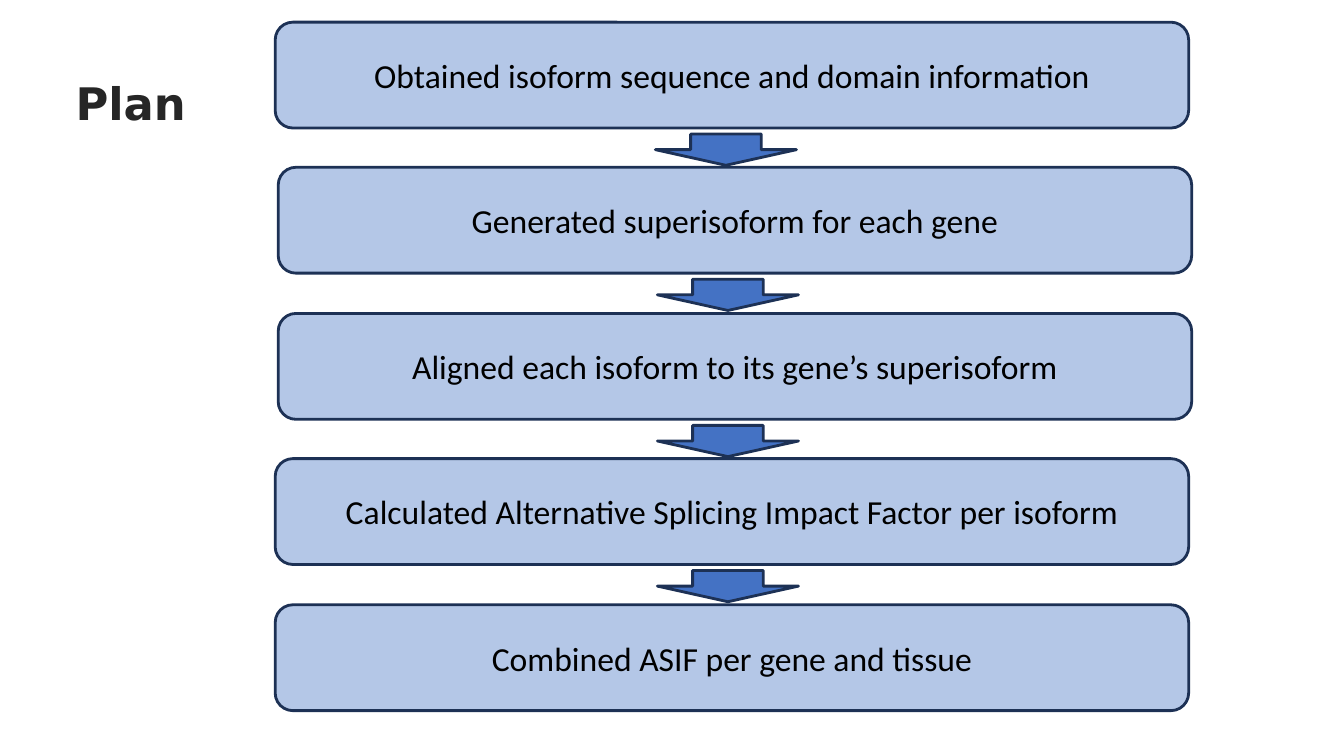
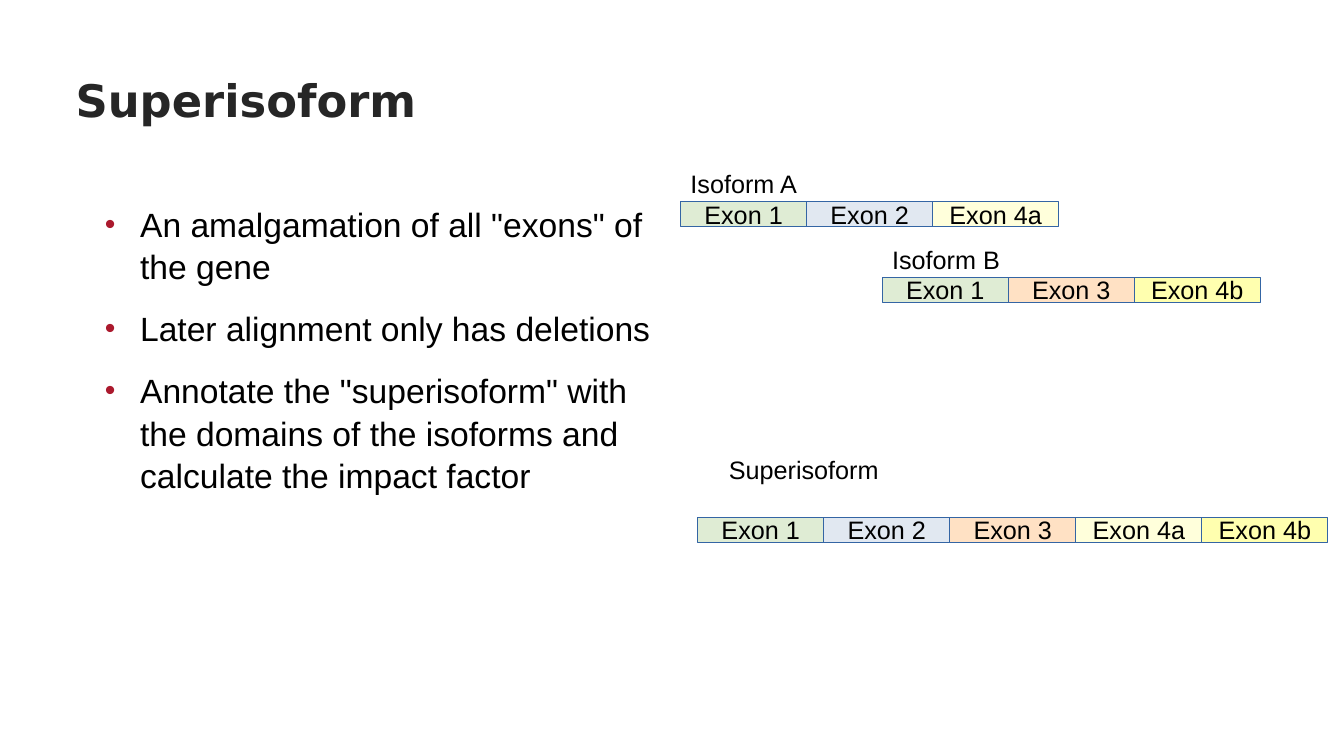
from lxml.etree import SubElement
from pptx import Presentation
from pptx.dml.color import RGBColor
from pptx.enum.shapes import MSO_SHAPE as SHAPE
from pptx.enum.text import MSO_ANCHOR as ANCHOR, PP_ALIGN as ALIGN
from pptx.oxml.ns import qn
from pptx.util import Pt

PX = 9144  # 100 px to the inch

COLORS = {
    "title": "262626", "text": "000000", "bullet": "AB192D",
    "step": "B4C7E7", "arrow": "4472C4", "edge": "1D3155",
    "border": "3465A4",
    "Exon 1": "AFD095", "Exon 2": "B4C7DC", "Exon 3": "FFB66C",
    "Exon 4a": "FFFFA6", "Exon 4b": "FFFF38",
}

# Left edge of each step and its text
STEPS = [
    (273, "Obtained isoform sequence and domain information"),
    (276, "Generated superisoform for each gene"),
    (276, "Aligned each isoform to its gene’s superisoform"),
    (273, "Calculated Alternative Splicing Impact Factor per isoform"),
    (273, "Combined ASIF per gene and tissue"),
]
ARROWS = [650, 652, 652, 652]

POINTS = [
    'An amalgamation of all "exons" of the gene',
    "Later alignment only has deletions",
    'Annotate the "superisoform" with the domains of the isoforms '
    "and calculate the impact factor",
]

# Label, label place, row place, exons
ROWS = [
    ("Isoform A", (675, 162), (675, 200), ["Exon 1", "Exon 2", "Exon 4a"]),
    ("Isoform B", (875, 237), (875, 275), ["Exon 1", "Exon 3", "Exon 4b"]),
    ("Superisoform", (713, 446), (692, 513),
     ["Exon 1", "Exon 2", "Exon 3", "Exon 4a", "Exon 4b"]),
]


def color(name):
    return RGBColor.from_string(COLORS[name])


def place(*box):
    return [n * PX for n in box]


def style(para, size, face, name="text", bold=False):
    for run in para.runs:
        font = run.font
        font.size, font.name, font.bold = Pt(size), face, bold
        font.color.rgb = color(name)


def add_text(slide, box, lines, inset=True):
    """Add a wrapped text box and return its paragraphs."""
    frame = slide.shapes.add_textbox(*place(*box)).text_frame
    frame.word_wrap = True
    if not inset:
        frame.margin_left = frame.margin_right = 0
        frame.margin_top = frame.margin_bottom = 0
    frame.text = "\n".join(lines)
    return frame.paragraphs


def add_title(slide, text, top, height, spacing=1.0):
    para = add_text(slide, (75, top, 1150, height), [text], False)[0]
    para.line_spacing = spacing
    style(para, 32, "DejaVu Sans", "title", True)


def add_box(slide, kind, box, fill, edge, width, text="", size=24, face="Arial"):
    """Add a filled shape with centred text."""
    shape = slide.shapes.add_shape(kind, *place(*box))
    shape.shadow.inherit = False
    shape.fill.solid()
    shape.fill.fore_color.rgb = color(fill)
    shape.line.color.rgb = color(edge)
    shape.line.width = Pt(width)
    if text:
        frame = shape.text_frame
        frame.text = text
        frame.vertical_anchor = ANCHOR.MIDDLE
        frame.paragraphs[0].alignment = ALIGN.CENTER
        style(frame.paragraphs[0], size, face)
    return shape


def add_exon(slide, left, top, name):
    shape = add_box(slide, SHAPE.RECTANGLE, (left, top, 125, 25),
                    name, "border", 0, name, 18)
    fill = shape.fill._xPr.find(qn("a:solidFill"))
    SubElement(fill[0], qn("a:alpha"), val="40000")


def add_bullet(para):
    props = para._p.get_or_add_pPr()
    props.set("marL", str(47 * PX))
    props.set("indent", str(-35 * PX))
    tint = SubElement(props, qn("a:buClr"))
    SubElement(tint, qn("a:srgbClr"), val=COLORS["bullet"])
    SubElement(props, qn("a:buSzPct"), val="90000")
    SubElement(props, qn("a:buFont"), typeface="Arial")
    SubElement(props, qn("a:buChar"), char="•")


def add_points(slide, box, lines):
    for i, para in enumerate(add_text(slide, box, lines, False)):
        add_bullet(para)
        para.line_spacing = 1.05
        para.space_before = Pt(14.2 if i else 0)
        style(para, 24, "Arial")


def build_plan(slide):
    add_title(slide, "Plan", 75, 52)
    tops = [22 + 289 * i // 2 for i in range(len(STEPS))]
    for top, (left, text) in zip(tops, STEPS):
        add_box(slide, SHAPE.ROUNDED_RECTANGLE, (left, top, 906, 105),
                "step", "edge", 2, text, 24, "Calibri")
    # Arrows sit in the gaps below the steps
    for top, left in zip(tops, ARROWS):
        add_box(slide, SHAPE.DOWN_ARROW, (left, top + 111, 140, 31),
                "arrow", "edge", 2)


def build_super(slide):
    add_title(slide, "Superisoform", 78, 46, 0.9)
    add_points(slide, (92, 200, 566, 500), POINTS)
    # Isoforms as rows of exons
    for label, spot, (left, top), exons in ROWS:
        style(add_text(slide, (*spot, 175, 38), [label])[0], 18, "Arial")
        for i, name in enumerate(exons):
            add_exon(slide, left + i * 125, top, name)


def main():
    deck = Presentation()
    deck.slide_width, deck.slide_height = place(1333, 750)
    for build in (build_plan, build_super):
        build(deck.slides.add_slide(deck.slide_layouts[6]))
    deck.save("out.pptx")


if __name__ == "__main__":
    main()
